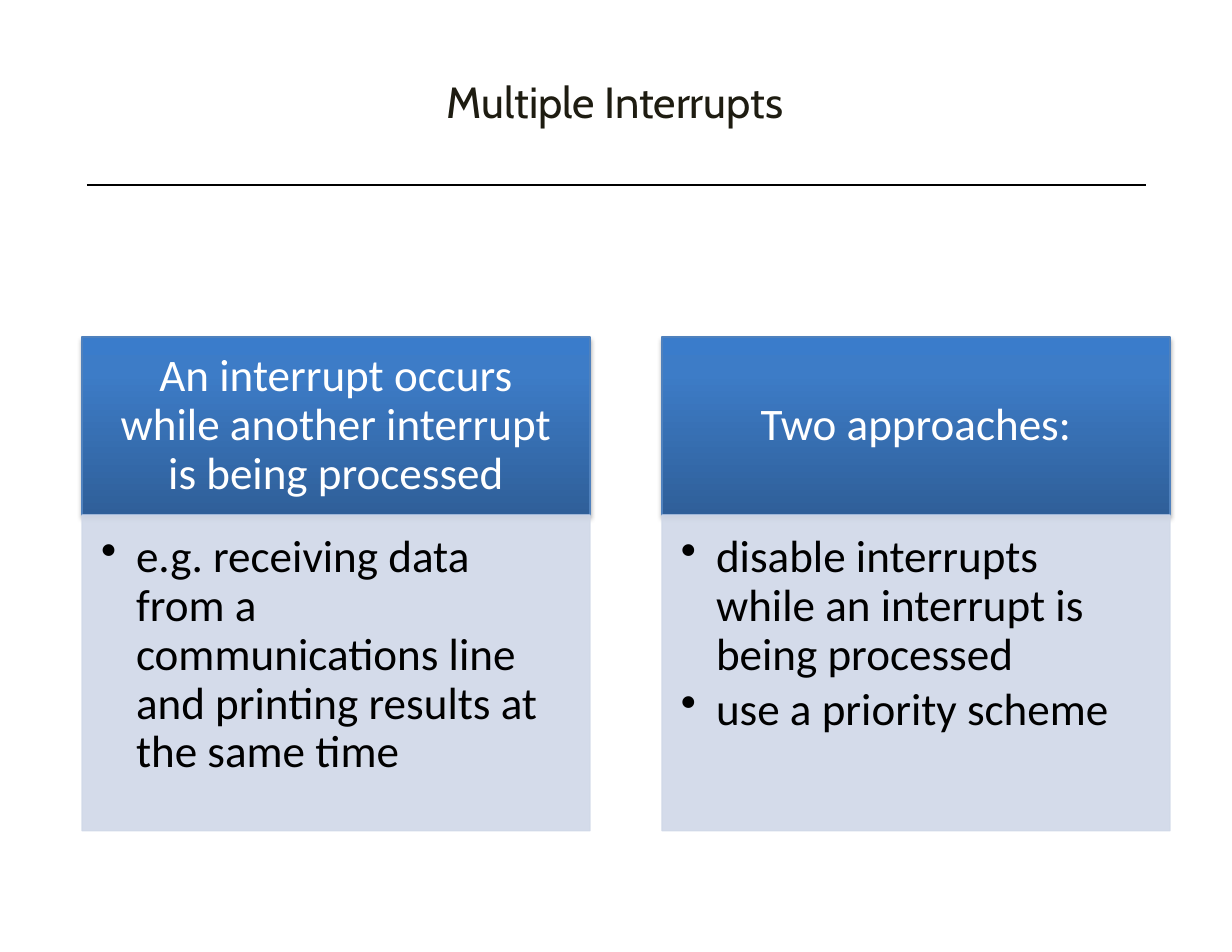
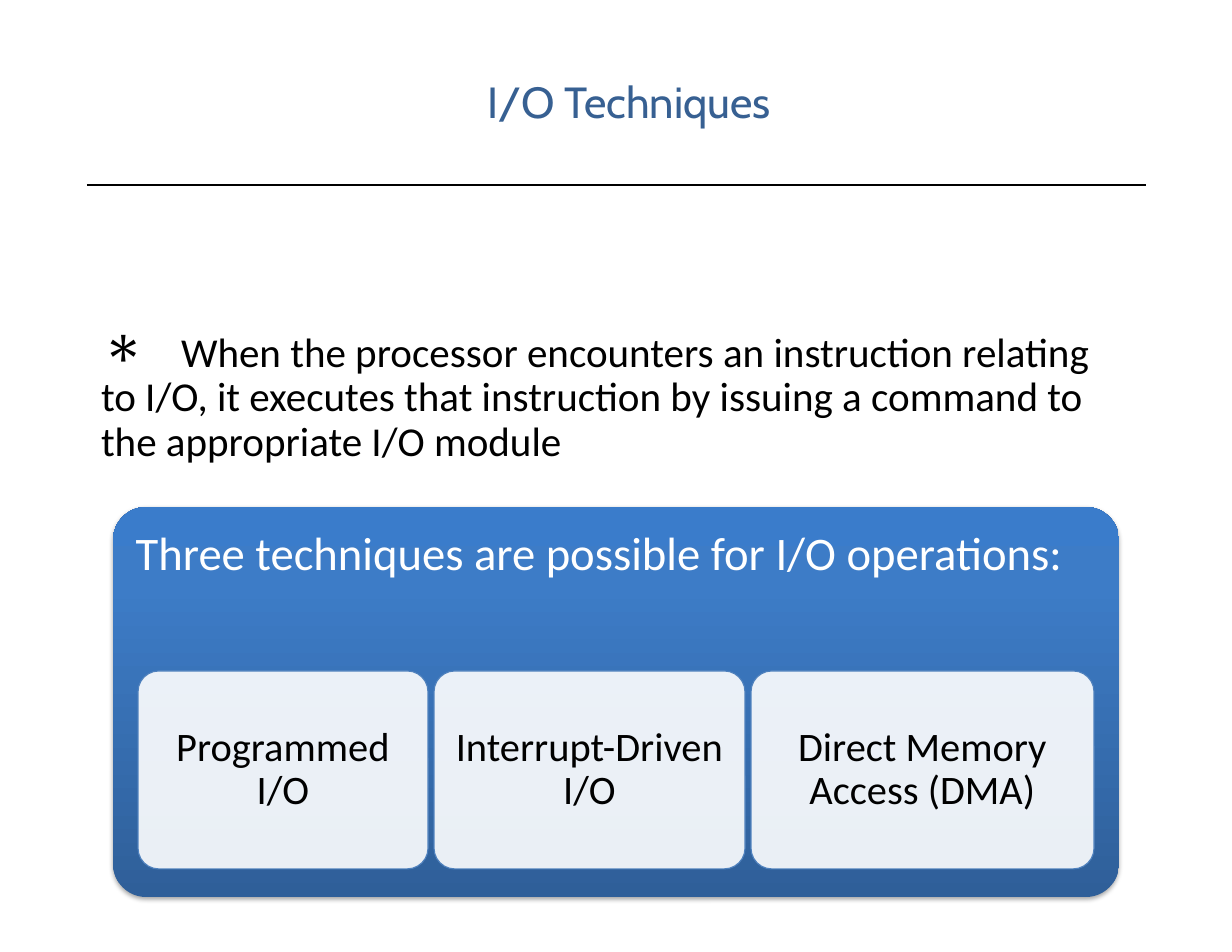
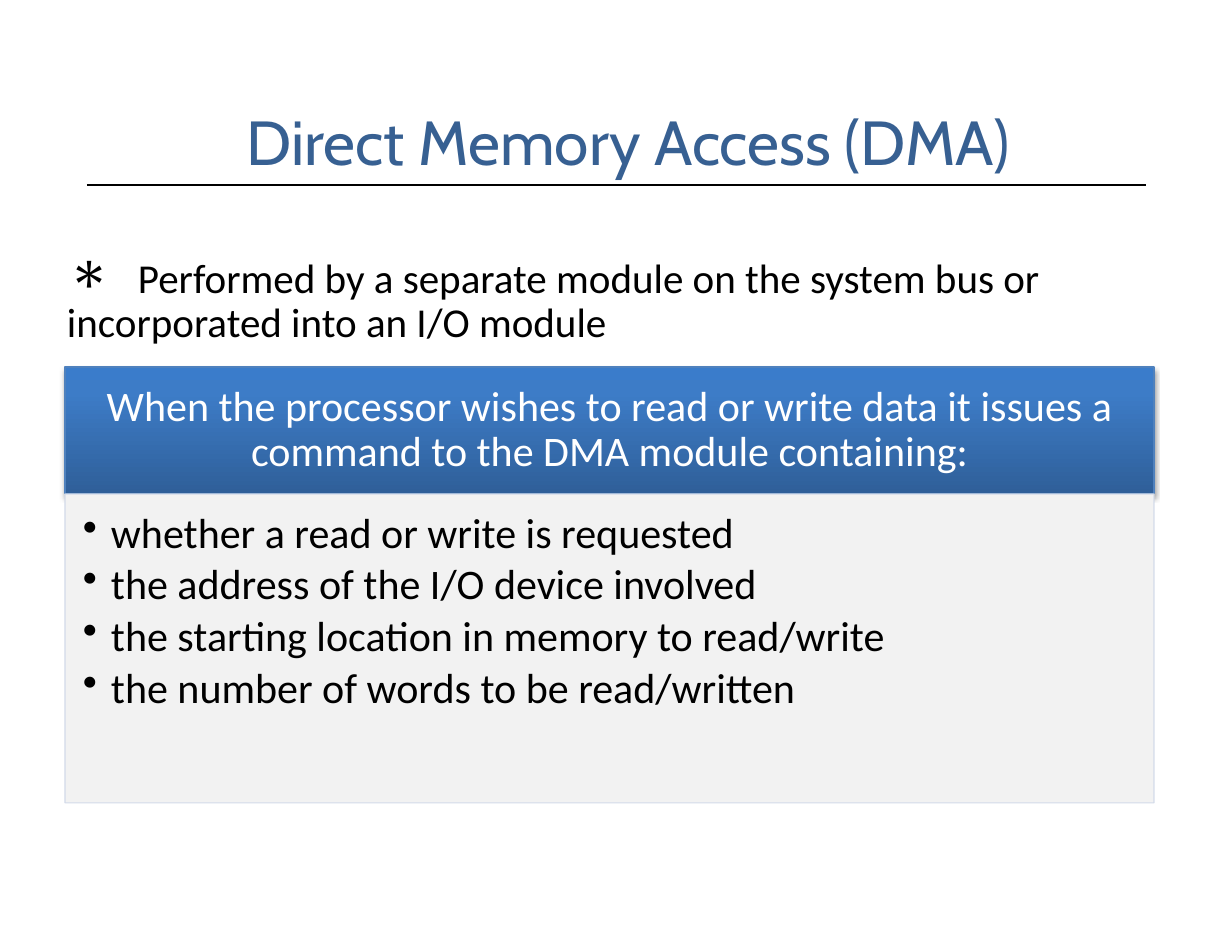
"""Build three slides on interrupts, I/O techniques and direct memory access."""
from copy import deepcopy

from lxml import etree
from pptx import Presentation
from pptx import util as u
from pptx.dml.color import RGBColor
from pptx.enum import shapes, text
from pptx.oxml import ns

BLACK = RGBColor(0x00, 0x00, 0x00)
WHITE = RGBColor(0xFF, 0xFF, 0xFF)
INK = RGBColor(0x1E, 0x1C, 0x11)
NAVY = RGBColor(0x37, 0x60, 0x92)
BLUE = RGBColor(0x4F, 0x81, 0xBD)
PALE = RGBColor(0xD0, 0xD8, 0xE8)
GREY = RGBColor(0xF2, 0xF2, 0xF2)
GRADIENT = (
    (0, RGBColor(0x2F, 0x5F, 0x99)),
    (0.8, RGBColor(0x3D, 0x7C, 0xC7)),
    (1, RGBColor(0x3A, 0x7C, 0xCB)),
)
PX_PER_INCH = 112
CENTER = text.PP_ALIGN.CENTER
LEFT = text.PP_ALIGN.LEFT
TOP = text.MSO_ANCHOR.TOP
MIDDLE = text.MSO_ANCHOR.MIDDLE
RECT = shapes.MSO_SHAPE.RECTANGLE
ROUNDED = shapes.MSO_SHAPE.ROUNDED_RECTANGLE


def px(length):
    """Turn whole pixels into EMU."""
    return u.Emu(round(length * 914400 / PX_PER_INCH))


def child(parent, tag, **attributes):
    """Append a DrawingML element."""
    values = {key: str(value) for key, value in attributes.items()}
    return etree.SubElement(parent, ns.qn(f"a:{tag}"), values)


def set_alpha(fill_owner, percent):
    """Make the colours below an element partly transparent."""
    for colour in fill_owner.xpath("./a:solidFill/a:srgbClr"):
        child(colour, "alpha", val=percent * 1000)


def write(shape, *paragraphs, size, color=BLACK, font="Calibri", align=LEFT,
          anchor=TOP, insets=(0, 0, 0, 0), spacing=0.9, after=0,
          bullet=None, bullet_percent=100, hang=0, tab=0):
    """Fill a shape with formatted paragraphs."""
    frame = shape.text_frame
    frame.word_wrap = True
    frame.auto_size = text.MSO_AUTO_SIZE.NONE
    frame.vertical_anchor = anchor
    (frame.margin_left, frame.margin_top,
     frame.margin_right, frame.margin_bottom) = map(px, insets)
    for index, words in enumerate(paragraphs):
        paragraph = frame.add_paragraph() if index else frame.paragraphs[0]
        paragraph.alignment = align
        paragraph.line_spacing = spacing
        paragraph.space_after = u.Pt(after)
        if bullet:
            properties = paragraph._p.get_or_add_pPr()
            properties.set("marL", str(px(hang)))
            properties.set("indent", str(px(-hang)))
            child(properties, "buSzPct", val=bullet_percent * 1000)
            child(properties, "buChar", char=bullet)
            if tab:
                child(child(properties, "tabLst"), "tab", pos=px(tab), algn="l")
        run = paragraph.add_run()
        run.text = words
        run.font.name = font
        run.font.size = u.Pt(size)
        run.font.color.rgb = color


class Deck:
    """Hold the shared style and the current slide."""

    def __init__(self):
        self.presentation = Presentation()
        self.presentation.slide_width = u.Inches(11)
        self.presentation.slide_height = u.Inches(8.5)
        self.slide = None

    def add_slide(self, heading, box, size=28, color=NAVY):
        """Start a slide with its title and rule."""
        self.slide = self.presentation.slides.add_slide(
            self.presentation.slide_layouts[5])
        title = self.slide.shapes.title
        title.left, title.top, title.width, title.height = map(px, box)
        write(title, heading, size=size, color=color, font="Cabin",
              align=CENTER, spacing=1.0)
        self.rule(87, 185, 1146)

    def rule(self, left, y, right):
        """Draw the horizontal line below the title."""
        line = self.slide.shapes.add_connector(
            shapes.MSO_CONNECTOR.STRAIGHT, px(left), px(y), px(right), px(y))
        line.line.color.rgb = BLACK
        line.line.width = u.Pt(1.25)
        child(line._element.spPr, "effectLst")

    def panel(self, box, fill=None, line=None, kind=RECT, corner=None,
              fill_alpha=100, line_alpha=100):
        """Draw a panel, shaded blue with a shadow when it has no fill."""
        panel = self.slide.shapes.add_shape(kind, *map(px, box))
        panel.shadow.inherit = False
        if corner is not None:
            panel.adjustments[0] = corner
        if line is None:
            panel.line.fill.background()
        else:
            panel.line.color.rgb = line
            panel.line.width = u.Pt(0.75)
            if line_alpha < 100:
                set_alpha(panel.line._get_or_add_ln(), line_alpha)
        if fill is None:
            self.shade(panel)
        else:
            panel.fill.solid()
            panel.fill.fore_color.rgb = fill
            if fill_alpha < 100:
                set_alpha(panel._element.spPr, fill_alpha)
        return panel

    def shade(self, panel):
        """Give a panel the blue gradient and a soft shadow."""
        panel.fill.gradient()
        panel.fill.gradient_angle = 90
        stops = panel._element.xpath(".//a:gsLst")[0]
        stops.append(deepcopy(stops[-1]))
        for stop, (position, color) in zip(panel.fill.gradient_stops, GRADIENT):
            stop.position = position
            stop.color.rgb = color
        effects = panel._element.xpath("./p:spPr/a:effectLst")[0]
        shadow = child(effects, "outerShdw", blurRad=u.Pt(3.1), dist=u.Pt(1.8),
                       dir=5400000, rotWithShape=0)
        child(child(shadow, "srgbClr", val=BLACK), "alpha", val=35000)

    def card(self, box, header_height, heading, points, size, hang,
             fill=PALE, fill_alpha=100):
        """Draw a blue header over a list of points."""
        left, top, width, height = box
        side, edge = round(size * 0.9), round(size * 0.65)
        header = self.panel((left, top, width, header_height), line=BLUE)
        write(header, heading, size=size, color=WHITE, align=CENTER,
              anchor=MIDDLE, insets=(side, edge // 2, side, edge // 2))
        body = self.panel(
            (left, top + header_height, width, height - header_height),
            fill, PALE, fill_alpha=fill_alpha, line_alpha=90)
        write(body, *points, size=size, bullet="•", hang=hang, after=4,
              insets=(edge, edge, side, side))

    def note(self, box, words, tab, **style):
        """Add a paragraph that opens with a large asterisk."""
        note = self.slide.shapes.add_textbox(*map(px, box))
        write(note, "\t" + words, size=26.4, bullet="∗", bullet_percent=150,
              tab=tab, **style)


def multiple_interrupts(deck):
    """Compare the problem with its two approaches."""
    deck.add_slide("Multiple Interrupts", (88, 75, 1054, 53), color=INK)
    cards = (
        ("An interrupt occurs while another interrupt is being processed",
         ["e.g. receiving data from a communications line and printing "
          "results at the same time"]),
        ("Two approaches:",
         ["disable interrupts while an interrupt is being processed",
          "use a priority scheme"]),
    )
    for column, (heading, points) in enumerate(cards):
        deck.card((82 + 580 * column, 337, 508, 494), 178, heading, points,
                  size=29, hang=35, fill_alpha=90)


def io_techniques(deck):
    """Show the three ways of doing I/O."""
    deck.add_slide("I/O Techniques", (88, 75, 1082, 53))
    group = deck.panel((113, 507, 1006, 390), kind=ROUNDED, corner=0.085)
    write(group, "Three techniques are possible for I/O operations:",
          size=30, color=WHITE, insets=(13, 13, 13, 13))
    techniques = (
        ("Programmed I/O", 290),
        ("Interrupt-Driven I/O", 311),
        ("Direct Memory Access (DMA)", 343),
    )
    left, gap = 138, 6
    for name, width in techniques:
        technique = deck.panel((left, 671, width, 198), WHITE, BLUE,
                               kind=ROUNDED, corner=0.105, fill_alpha=90)
        write(technique, name, size=26, align=CENTER, anchor=MIDDLE,
              insets=(12, 12, 12, 12))
        left += width + gap
    deck.note((72, 311, 1089, 175),
              "When the processor encounters an instruction relating to I/O, "
              "it executes that instruction by issuing a command to the "
              "appropriate I/O module",
              tab=80, anchor=MIDDLE, insets=(29, 0, 29, 0))


def direct_memory_access(deck):
    """List what a command to the DMA module contains."""
    deck.add_slide("Direct Memory Access (DMA)", (67, 103, 1123, 75), size=40)
    deck.card((65, 367, 1089, 436), 127,
              "When the processor wishes to read or write data it issues a "
              "command to the DMA module containing:",
              ["whether a read or write is requested",
               "the address of the I/O device involved",
               "the starting location in memory to read/write",
               "the number of words to be read/written"],
              size=27, hang=28, fill=GREY)
    deck.note((56, 252, 1089, 101),
              "Performed by a separate module on the system bus or "
              "incorporated into an I/O module",
              tab=71, insets=(11, 6, 11, 6))


def main():
    """Build and save the slides."""
    deck = Deck()
    multiple_interrupts(deck)
    io_techniques(deck)
    direct_memory_access(deck)
    deck.presentation.save("out.pptx")


if __name__ == "__main__":
    main()
